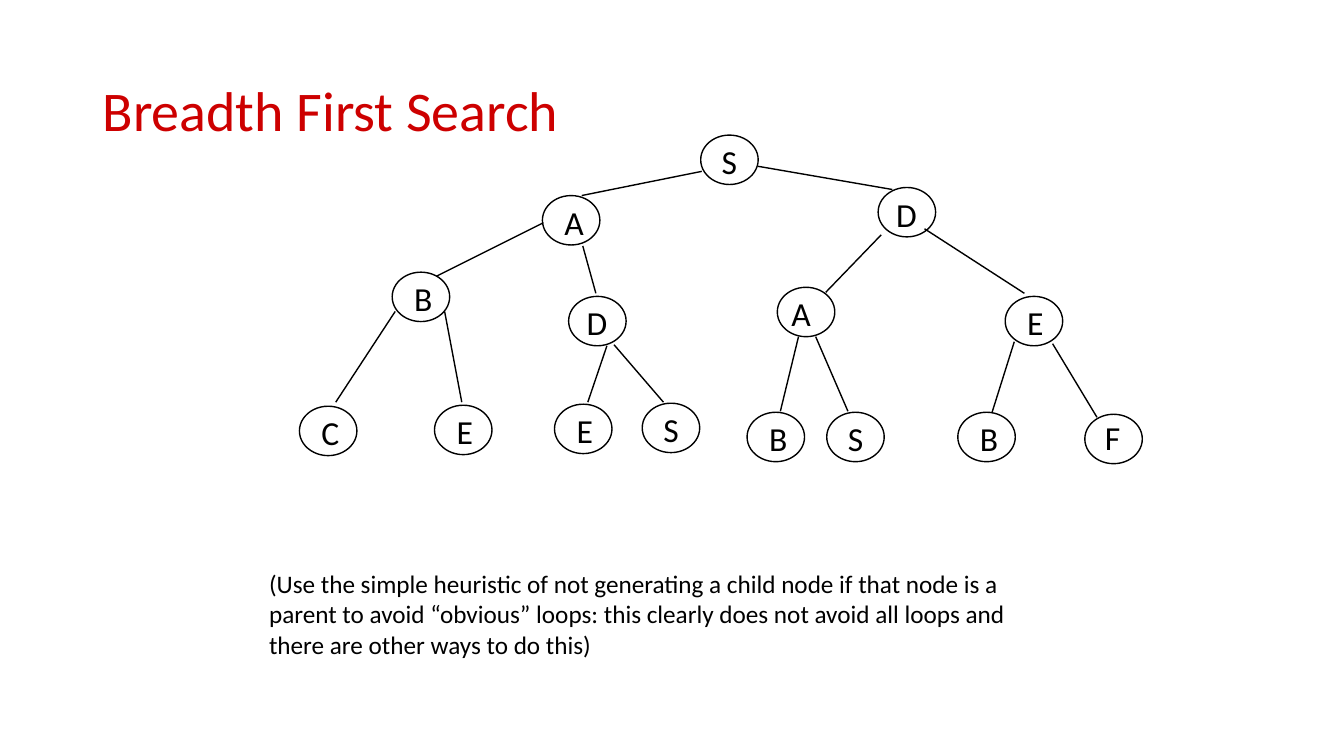
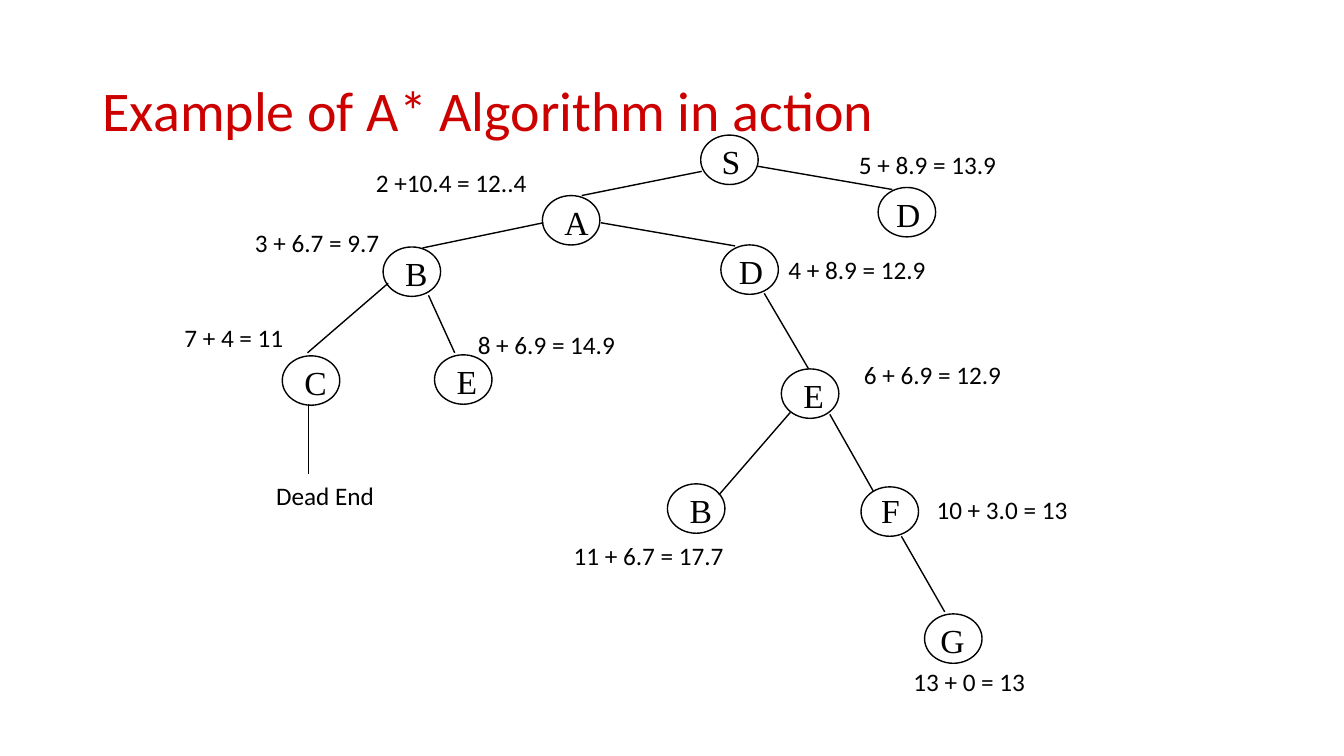
"""Build two slides of search trees."""
from dataclasses import dataclass

from lxml.etree import SubElement
from pptx import Presentation
from pptx.dml.color import RGBColor as Rgb
from pptx.enum.shapes import MSO_CONNECTOR as Conn, MSO_SHAPE as Form
from pptx.enum.text import MSO_ANCHOR as Anchor, MSO_AUTO_SIZE as Fit
from pptx.oxml.ns import qn
from pptx.slide import Slide
from pptx.util import Inches, Pt

BLACK, RED = "000000", "CD0000"
SANS, SERIF = "Calibri", "Times New Roman"
NODE_W, NODE_H = 0.57, 0.49
WIDTHS = {
    SANS: dict(S=0.35, A=0.39, B=0.38, C=0.38, D=0.41, E=0.36, F=0.35),
    SERIF: dict(S=0.39, A=0.44, B=0.42, C=0.42, D=0.44, E=0.4, F=0.39, G=0.44),
}


@dataclass(frozen=True)
class Node:
    name: str
    x: float
    y: float
    dx: float = 0.12
    dy: float = 0.01


@dataclass(frozen=True)
class Link:
    x1: float
    y1: float
    x2: float
    y2: float


@dataclass(frozen=True)
class Note:
    text: str
    x: float
    y: float
    w: float = 1.58
    h: float = 0.4
    wrap: bool = False
    size: int = 18
    font: str = SANS
    tint: str = BLACK


@dataclass(frozen=True)
class Tree:
    title: str
    font: str
    nodes: list[Node]
    links: list[Link]
    notes: list[Note]


TOP_NODES = [Node("S", 6.95, 1.34, 0.11), Node("A", 5.38, 1.94), Node("D", 8.71, 1.86, 0.08)]
TOP_LINKS = [Link(6.96, 1.7, 5.77, 1.94), Link(7.52, 1.65, 8.85, 1.88)]

BREADTH = Tree(
    "Breadth First Search",
    SANS,
    TOP_NODES + [
        Node("B", 3.89, 2.7),
        Node("D", 5.64, 2.94, 0.08),
        Node("A", 7.71, 2.85, 0.04),
        Node("E", 9.97, 2.94),
        Node("C", 2.97, 4.03),
        Node("E", 4.31, 4.02),
        Node("E", 5.5, 4.01),
        Node("S", 6.37, 4, 0.11),
        Node("B", 7.41, 4.09),
        Node("S", 8.2, 4.09, 0.11),
        Node("B", 9.5, 4.09),
        Node("F", 10.76, 4.11, 0.1, -0.02),
    ],
    TOP_LINKS + [
        Link(5.39, 2.21, 4.33, 2.74),
        Link(5.78, 2.44, 5.91, 2.91),
        Link(8.74, 2.33, 8.19, 2.9),
        Link(9.17, 2.27, 10.16, 2.91),
        Link(3.92, 3.09, 3.33, 3.99),
        Link(4.41, 3.09, 4.58, 3.99),
        Link(6.02, 3.43, 5.83, 3.99),
        Link(6.09, 3.42, 6.58, 3.99),
        Link(7.92, 3.34, 7.74, 4.08),
        Link(8.09, 3.34, 8.41, 4.08),
        Link(10.06, 3.39, 9.84, 4.09),
        Link(10.44, 3.41, 10.88, 4.14),
    ],
    [
        Note(
            "(Use the simple heuristic of not generating a child node if that node is a "
            "parent to avoid “obvious” loops: this clearly does not avoid all loops and "
            "there are other ways to do this)",
            2.57, 5.59, 8.02, 1, True,
        ),
    ],
)

A_STAR = Tree(
    "Example of A* Algorithm in action",
    SERIF,
    TOP_NODES + [
        Node("B", 3.8, 2.45),
        Node("D", 7.15, 2.43, 0.08),
        Node("C", 2.8, 3.53),
        Node("E", 4.31, 3.52),
        Node("E", 7.75, 3.66),
        Node("B", 6.62, 4.8),
        Node("F", 8.54, 4.83, 0.1, -0.02),
        Node("G", 9.17, 6.09, 0.06),
    ],
    TOP_LINKS + [
        Link(5.39, 2.21, 4.19, 2.46),
        Link(5.96, 2.21, 7.29, 2.44),
        Link(3.85, 2.81, 3.05, 3.5),
        Link(4.25, 2.93, 4.51, 3.5),
        Link(3.06, 4.01, 3.06, 4.7),
        Link(7.58, 2.91, 8.02, 3.66),
        Link(7.84, 4.09, 7.13, 4.91),
        Link(8.23, 4.11, 8.66, 4.87),
        Link(8.94, 5.32, 9.37, 6.07),
    ],
    [
        Note("2 +10.4 = 12..4", 3.63, 1.61, 1.71),
        Note("5 + 8.9 = 13.9", 8.42, 1.43),
        Note("3 + 6.7 = 9.7", 2.43, 2.21, 1.45),
        Note("7 + 4 = 11", 1.73, 3.15, 1.2),
        Note("8 + 6.9 = 14.9", 4.64, 3.22),
        Note("4 + 8.9 = 12.9", 7.72, 2.47),
        Note("6 + 6.9 = 12.9", 8.47, 3.52),
        Note("11 + 6.7 = 17.7", 5.59, 5.31, 1.71),
        Note("10 + 3.0 = 13", 9.19, 4.85, 1.51),
        Note("13 + 0 = 13", 8.96, 6.56, 1.32),
        Note("Dead End", 2.64, 4.72, 1.18),
    ],
)


def shade(tint: str) -> Rgb:
    return Rgb.from_string(tint)


def add_note(slide: Slide, note: Note):
    box = slide.shapes.add_textbox(*map(Inches, (note.x, note.y, note.w, note.h)))
    frame = box.text_frame
    frame.word_wrap = note.wrap
    frame.auto_size = Fit.SHAPE_TO_FIT_TEXT
    run = frame.paragraphs[0].add_run()
    run.text = note.text
    run.font.name = note.font
    run.font.size = Pt(note.size)
    run.font.color.rgb = shade(note.tint)
    return frame


def add_title(slide: Slide, text: str) -> None:
    frame = add_note(slide, Note(text, 0.92, 0.4, 11.5, 1.45, True, 40, tint=RED))
    frame.auto_size = Fit.NONE
    frame.vertical_anchor = Anchor.MIDDLE
    frame.paragraphs[0].line_spacing = 0.9


def add_node(slide: Slide, node: Node, font: str) -> None:
    ring = slide.shapes.add_shape(
        Form.OVAL, *map(Inches, (node.x, node.y, NODE_W, NODE_H)))
    ring.shadow.inherit = False
    ring.fill.background()
    ring.line.color.rgb = shade(BLACK)
    ring.line.width = Pt(1)
    width = WIDTHS[font][node.name]
    add_note(slide, Note(node.name, node.x + node.dx, node.y + node.dy,
                         width, 0.5, size=24, font=font))


def add_link(slide: Slide, link: Link) -> None:
    line = slide.shapes.add_connector(
        Conn.STRAIGHT, *map(Inches, (link.x1, link.y1, link.x2, link.y2)))
    line.line.color.rgb = shade(BLACK)
    line.line.width = Pt(1)
    SubElement(line._element.spPr, qn("a:effectLst"))


def add_tree(slide: Slide, tree: Tree) -> None:
    add_title(slide, tree.title)
    for link in tree.links:
        add_link(slide, link)
    for node in tree.nodes:
        add_node(slide, node, tree.font)
    for note in tree.notes:
        add_note(slide, note)


def main() -> None:
    deck = Presentation()
    deck.slide_width, deck.slide_height = Inches(13.33), Inches(7.5)
    for tree in (BREADTH, A_STAR):
        add_tree(deck.slides.add_slide(deck.slide_layouts[6]), tree)
    deck.save("out.pptx")


if __name__ == "__main__":
    main()
